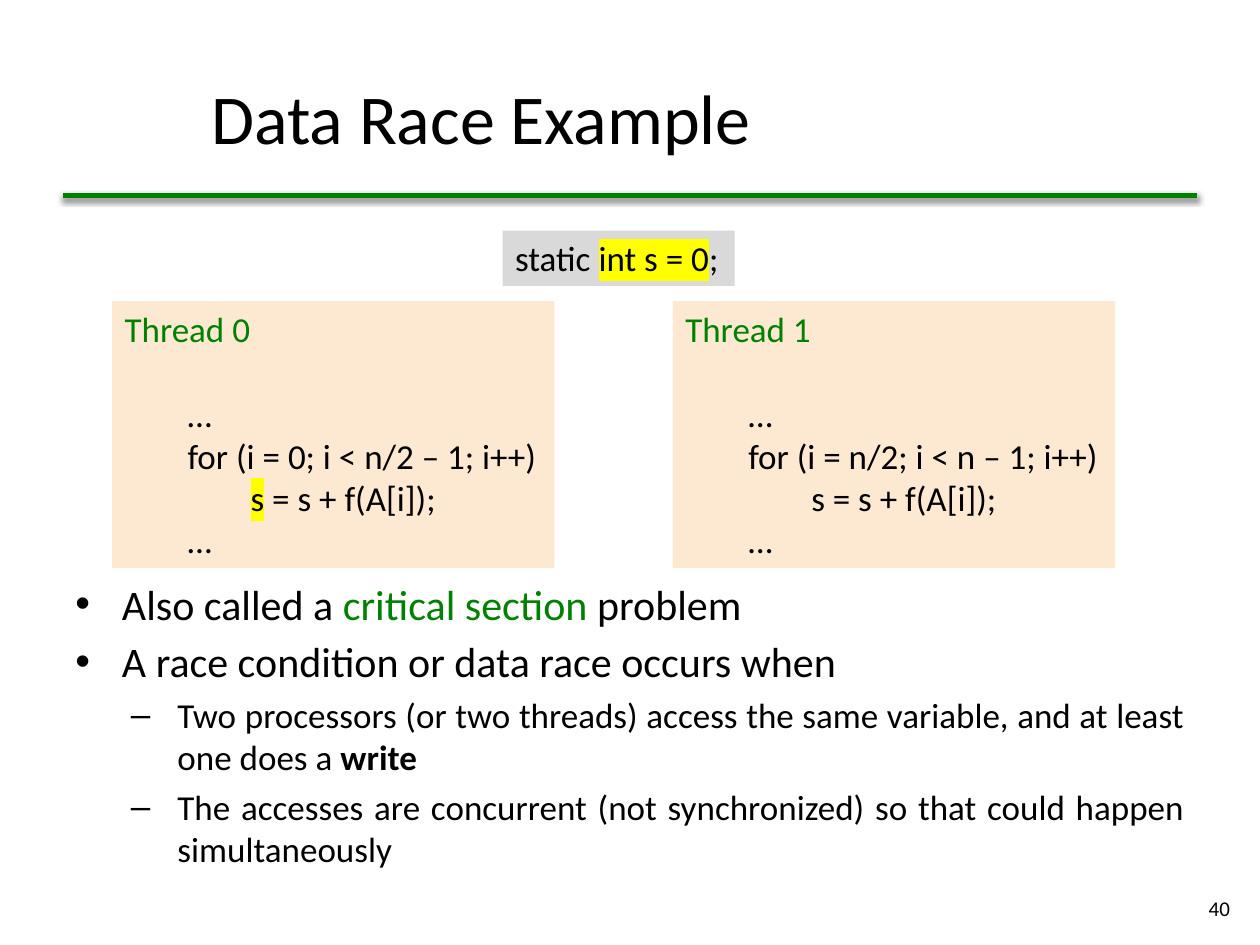
from lxml import etree
from pptx import Presentation
from pptx.dml.color import RGBColor
from pptx.enum import shapes, text
from pptx.oxml import ns
from pptx.util import Inches, Pt

BLACK = RGBColor(0x00, 0x00, 0x00)
GREEN = RGBColor(0x00, 0x80, 0x00)
GREY = RGBColor(0xD9, 0xD9, 0xD9)
PEACH = RGBColor(0xFD, 0xE9, 0xD2)
YELLOW = RGBColor(0xFF, 0xFF, 0x00)
FONT = "Calibri"


def add_element(parent, tag, **attributes):
    return etree.SubElement(parent, ns.qn(tag), attributes)


def highlight(span, color):
    mark = etree.Element(ns.qn("a:highlight"))
    add_element(mark, "a:srgbClr", val=str(color))
    span._r.get_or_add_rPr().find(ns.qn("a:solidFill")).addnext(mark)


def add_span(para, words, size, color=BLACK, bold=False, mark=None):
    span = para.add_run()
    span.text = words
    span.font.name = FONT
    span.font.size = Pt(size)
    span.font.bold = bold
    span.font.color.rgb = color
    if mark is not None:
        highlight(span, mark)


def set_indent(para, left, first=0):
    properties = para._p.get_or_add_pPr()
    properties.set("marL", str(Inches(left)))
    properties.set("indent", str(Inches(first)))
    return properties


def add_textbox(page, left, top, width, height, anchor):
    box = page.shapes.add_textbox(
        Inches(left), Inches(top), Inches(width), Inches(height))
    box.text_frame.word_wrap = True
    box.text_frame.vertical_anchor = anchor
    return box.text_frame


def add_panel(page, left, top, width, height, color):
    panel = page.shapes.add_shape(
        shapes.MSO_SHAPE.RECTANGLE,
        Inches(left), Inches(top), Inches(width), Inches(height))
    panel.shadow.inherit = False
    panel.fill.solid()
    panel.fill.fore_color.rgb = color
    panel.line.fill.background()
    frame = panel.text_frame
    frame.word_wrap = True
    frame.vertical_anchor = text.MSO_ANCHOR.TOP
    frame.paragraphs[0].alignment = text.PP_ALIGN.LEFT
    return frame


def add_title(page, left, top, width, height):
    frame = add_textbox(page, left, top, width, height, text.MSO_ANCHOR.MIDDLE)
    add_span(frame.paragraphs[0], "Data Race Example", 40)


def add_rule(page, left, top, width):
    rule = page.shapes.add_connector(
        shapes.MSO_CONNECTOR.STRAIGHT,
        Inches(left), Inches(top), Inches(left + width), Inches(top))
    rule.line.color.rgb = GREEN
    rule.line.width = Pt(3)
    effects = add_element(rule._element.spPr, "a:effectLst")
    shadow = add_element(effects, "a:outerShdw", blurRad=str(Pt(3.1)),
                         dist=str(Pt(1.6)), dir="5400000", rotWithShape="0")
    shade = add_element(shadow, "a:srgbClr", val=str(BLACK))
    add_element(shade, "a:alpha", val="62000")


def add_declaration(page, left, top, width, height):
    para = add_panel(page, left, top, width, height, GREY).paragraphs[0]
    add_span(para, "static ", 20)
    add_span(para, "int s = 0", 20, mark=YELLOW)
    add_span(para, ";", 20)


def add_thread(page, left, top, width, height, name, loop, mark):
    frame = add_panel(page, left, top, width, height, PEACH)
    add_span(frame.paragraphs[0], name, 20, GREEN)
    code = [
        (0.5, [("…", None)]),
        (0.5, [(loop, None)]),
        (1, [("s", mark), (" = s + f(A[i]);", None)]),
        (0.5, [("…", None)]),
    ]
    for indent, spans in code:
        para = frame.add_paragraph()
        para.alignment = text.PP_ALIGN.LEFT
        set_indent(para, indent)
        for words, color in spans:
            add_span(para, words, 20, mark=color)
    frame.paragraphs[1].space_before = Pt(24.4)


def add_bullets(page, left, top, width, height):
    frame = add_textbox(page, left, top, width, height, text.MSO_ANCHOR.TOP)
    points = [
        (0, [("Also called a ", BLACK, False),
             ("critical section ", GREEN, False),
             ("problem", BLACK, False)]),
        (0, [("A race condition or data race occurs when", BLACK, False)]),
        (1, [("Two processors (or two threads) access the same variable, "
              "and at least one does a ", BLACK, False),
             ("write", BLACK, True)]),
        (1, [("The accesses are concurrent (not synchronized) so that could "
              "happen simultaneously", BLACK, False)]),
    ]
    styles = [(0.37, 24, "•"), (0.81, 20, "–")]
    for number, (level, spans) in enumerate(points):
        para = frame.add_paragraph() if number else frame.paragraphs[0]
        indent, size, symbol = styles[level]
        para.level = level
        para.alignment = text.PP_ALIGN.JUSTIFY
        para.space_before = Pt(4.2 if number else 0)
        properties = set_indent(para, indent, -0.37)
        add_element(properties, "a:buFont", typeface="Arial")
        add_element(properties, "a:buChar", char=symbol)
        for words, color, bold in spans:
            add_span(para, words, size, color, bold)


def add_page_number(page, left, top, width, height):
    frame = add_textbox(page, left, top, width, height, text.MSO_ANCHOR.MIDDLE)
    frame.paragraphs[0].alignment = text.PP_ALIGN.RIGHT
    add_span(frame.paragraphs[0], "40", 12)


def main():
    deck = Presentation()
    deck.slide_width = Inches(10)
    deck.slide_height = Inches(7.5)
    page = deck.slides.add_slide(deck.slide_layouts[6])
    add_page_number(page, 9.46, 7.01, 0.4, 0.4)
    add_title(page, 1.58, 0.3, 8.27, 1.25)
    add_rule(page, 0.5, 1.55, 9)
    add_bullets(page, 0.5, 4.54, 9, 2.47)
    add_declaration(page, 3.99, 1.83, 1.84, 0.44)
    threads = [
        (0.89, "Thread 0", "for (i = 0; i < n/2 – 1; i++)", YELLOW),
        (5.34, "Thread 1", "for (i = n/2; i < n – 1; i++)", None),
    ]
    for left, name, loop, mark in threads:
        add_thread(page, left, 2.39, 3.51, 2.12, name, loop, mark)
    deck.save("out.pptx")


if __name__ == "__main__":
    main()
